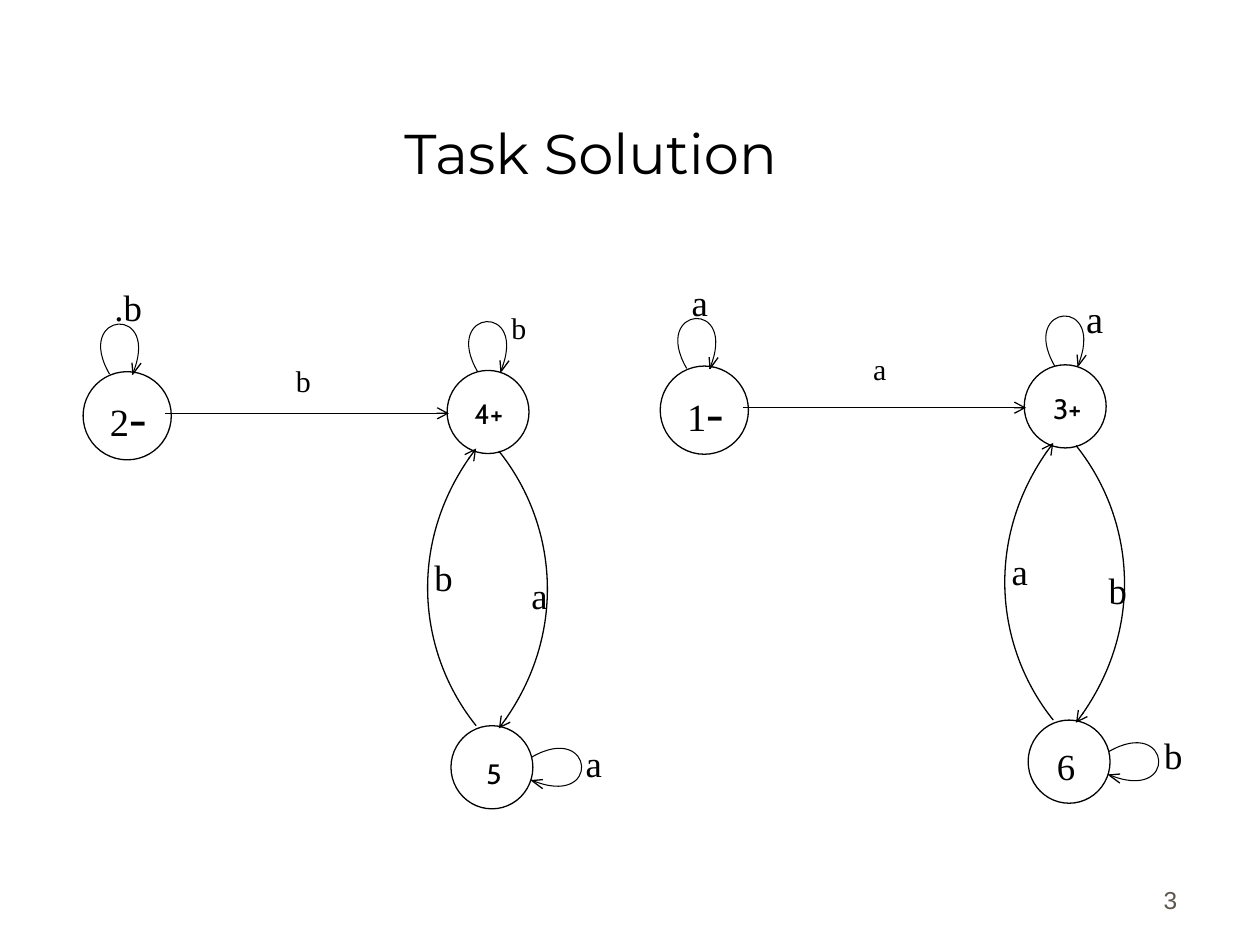
from pptx import Presentation
from pptx.dml.color import RGBColor
from pptx.enum.shapes import MSO_CONNECTOR, MSO_SHAPE
from pptx.enum.text import MSO_ANCHOR, PP_ALIGN
from pptx.oxml.ns import qn
from pptx.oxml.xmlchemy import OxmlElement
from pptx.util import Pt

SERIF = "Times New Roman"
LOOP_CURVE = [(0, 0), (-20.9, -36), (30.2, -40.3), (13, 0.3)]
LOOP_TIP = [[(13.7, -0.5), (18, -6.3)], [(12.8, -6.5), (13.4, 0.2)]]
UP_ARC = [(224.6, 202.3), (192.2, 162), (184.3, 96.5), (224.6, 43.9)]
# The downward arc is the upward one turned half a circle.
DOWN_ARC = [(462.2 - x, 247.7 - y) for x, y in UP_ARC]


def color(hex_string):
    return RGBColor.from_string(hex_string)


def add_text(page, text, left, top, width, height, size=21, font=SERIF, ink="000000",
             align=PP_ALIGN.LEFT, anchor=MSO_ANCHOR.TOP, spacing=None,
             inset_top=3.6, inset_bottom=3.6):
    """Add a text box; text is a string or a list of (string, size) spans."""
    box = page.shapes.add_textbox(Pt(left), Pt(top), Pt(width), Pt(height))
    frame = box.text_frame
    frame.word_wrap = True
    frame.vertical_anchor = anchor
    frame.margin_left = frame.margin_right = Pt(7.2)
    frame.margin_top, frame.margin_bottom = Pt(inset_top), Pt(inset_bottom)
    para = frame.paragraphs[0]
    para.alignment = align
    if spacing:
        para.line_spacing = spacing
    for words, points in [(text, size)] if isinstance(text, str) else text:
        span = para.add_run()
        span.text = words
        span.font.size = Pt(points)
        span.font.name = font
        span.font.color.rgb = color(ink)


def set_line(shape, width=0.75, arrow=False):
    shape.line.color.rgb = color("000000")
    shape.line.width = Pt(width)
    if arrow:
        tail = OxmlElement("a:tailEnd")
        tail.set("type", "arrow")
        shape.line._get_or_add_ln().append(tail)


def add_circle(page, left, top, width, height):
    circle = page.shapes.add_shape(MSO_SHAPE.OVAL, Pt(left), Pt(top), Pt(width), Pt(height))
    circle.shadow.inherit = False
    circle.fill.solid()
    circle.fill.fore_color.rgb = color("FFFFFF")
    set_line(circle)


def add_stroke(page, points, width=0.75, arrow=False):
    """Draw a straight stroke from two points, or a cubic curve from four."""
    start, *others = [(Pt(x), Pt(y)) for x, y in points]
    builder = page.shapes.build_freeform(*start)
    builder.add_line_segments(others, close=False)
    stroke = builder.convert_to_shape()
    if len(points) == 4:
        segments = list(stroke._element.iter(qn("a:lnTo")))
        outline = segments[0].getparent()
        curve = OxmlElement("a:cubicBezTo")
        for segment in segments:
            curve.append(segment[0])
            outline.remove(segment)
        outline.append(curve)
    stroke.shadow.inherit = False
    stroke.fill.background()
    set_line(stroke, width, arrow)


def add_arrow(page, left, top, length):
    arrow = page.shapes.add_connector(
        MSO_CONNECTOR.STRAIGHT, Pt(left), Pt(top), Pt(left + length), Pt(top))
    set_line(arrow, arrow=True)
    arrow._element.spPr.append(OxmlElement("a:effectLst"))


def add_loop(page, left, top, sideways=False):
    """Draw a self-loop from its starting point, upwards or to the right."""
    def place(points):
        turned = [(-y, x) for x, y in points] if sideways else points
        return [(left + x, top + y) for x, y in turned]

    add_stroke(page, place(LOOP_CURVE), width=0.6)
    for side in LOOP_TIP:
        add_stroke(page, place(side))


def add_automaton(page, left, top, start, states, labels):
    """Place three states and their transitions from the start circle's corner.

    states and labels hold (text, x, y, width, height, format).
    """
    add_circle(page, left, top, 50.4, 50.4)
    add_circle(page, left + 208, top - 0.7, 46.8, 47.5)
    add_circle(page, left + 210.2, top + 202.3, 46.8, 47.5)
    add_loop(page, left + 15.1, top + 1.4)
    add_loop(page, left + 225.4, top)
    add_loop(page, left + 256.3, top + 220.3, sideways=True)
    for arc in (UP_ARC, DOWN_ARC):
        add_stroke(page, [(left + x, top + y) for x, y in arc], arrow=True)
    add_arrow(page, left + 47, top + 23.8, 162)
    add_text(page, [(start, 22), ("-", 30)], left + 8.2, top + 3.6, 70.6, 48)
    for text, x, y, width, height, style in states + labels:
        add_text(page, text, left + x, top + y, width, height, **style)


def main():
    deck = Presentation()
    deck.slide_width, deck.slide_height = Pt(720), Pt(540)
    page = deck.slides.add_slide(deck.slide_layouts[6])

    add_text(page, "Task Solution", 31.7, 18, 612, 90, size=32, font="Montserrat",
             align=PP_ALIGN.CENTER, anchor=MSO_ANCHOR.BOTTOM, inset_bottom=2)
    add_text(page, "3", 530, 490.3, 149.8, 36, size=14, font="Arial", ink="5E574E",
             align=PP_ALIGN.RIGHT, anchor=MSO_ANCHOR.BOTTOM)

    named = dict(size=16, font="Cabin", align=PP_ALIGN.CENTER, inset_top=16.2)
    small = dict(size=17.1, spacing=0.8)
    label = (50.4, 51.1, {})
    small_label = (29.5, 28.8, small)
    state = (66.2, 46.1, named)

    add_automaton(
        page, 47.5, 212.4, "2",
        [("4+", 198.7, -2.2, *state), ("5", 201.6, 203.8, *state)],
        [(".b", 10.8, -53.3, *label), ("b", 237.6, -35.3, *small_label),
         ("b", 114.5, -5, *small_label), ("b", 193.7, 100.8, *label),
         ("a", 249.1, 111.6, *label), ("a", 280.1, 207.4, *label)])
    add_automaton(
        page, 377.3, 209.2, "1",
        [("3+", 199.4, -1.9, *state), ("6", 219.6, 212, *label)],
        [("a", 10.8, -53, *label), ("a", 236.2, -44.3, 35.3, 36, dict(size=22)),
         ("a", 114.5, -8.3, *small_label), ("a", 193.7, 101.1, *label),
         ("b", 249.1, 111.9, *label), ("b", 280.8, 206.2, *label)])
    deck.save("out.pptx")


if __name__ == "__main__":
    main()
